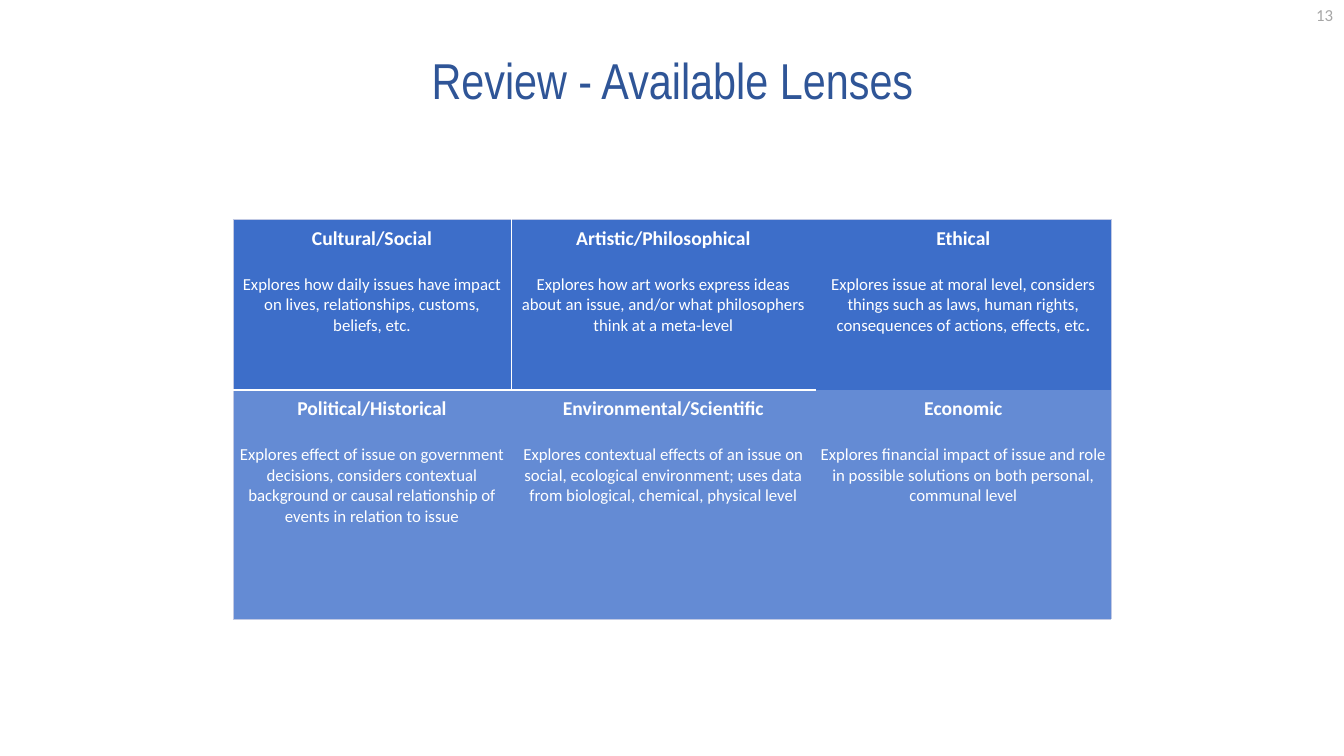
"""Builds the slide that reviews the available lenses."""
from lxml import etree
from pptx import Presentation
from pptx import util as u
from pptx.dml.color import RGBColor
from pptx.enum import text
from pptx.oxml.ns import qn

LENSES = [
    [
        ("Cultural/Social",
         "Explores how daily issues have impact on lives, relationships, customs, beliefs, etc.", ""),
        ("Artistic/Philosophical",
         "Explores how art works express ideas about an issue, and/or what philosophers think "
         "at a meta-level", ""),
        ("Ethical",
         "Explores issue at moral level, considers things such as laws, human rights, "
         "consequences of actions, effects, etc", "."),
    ],
    [
        ("Political/Historical",
         "Explores effect of issue on government decisions, considers contextual background or "
         "causal relationship of events in relation to issue", ""),
        ("Environmental/Scientific",
         "Explores contextual effects of an issue on social, ecological environment; uses data "
         "from biological, chemical, physical level", ""),
        ("Economic",
         "Explores financial impact of issue and role in possible solutions on both personal, "
         "communal level", ""),
    ],
]
COLUMN_WIDTHS = [2.76, 3.02, 2.93]
ROW_HEIGHTS = [1.69, 2.27]
ROW_FILLS = ["3D6EC9", "648BD4"]
OUTLINE = ("C1C9E4", 0.5)
COLUMN_RULE = ("FFFFFF", 1)
ROW_RULE = ("FFFFFF", 1.5)


def colour(code):
    return RGBColor.from_string(code)


class SlideBuilder:
    def __init__(self, deck):
        self.heading_font = "Arial Narrow"
        self.body_font = "Calibri"
        self.slide = deck.slides.add_slide(deck.slide_layouts[5])

    def style(self, para, size, code, align, font=None, bold=False):
        para.alignment = align
        para.font.name = font or self.body_font
        para.font.size = u.Pt(size)
        para.font.bold = bold
        para.font.color.rgb = colour(code)

    def title(self, words, left, top, width, height):
        box = self.slide.shapes.title
        box.left, box.top = u.Inches(left), u.Inches(top)
        box.width, box.height = u.Inches(width), u.Inches(height)
        frame = box.text_frame
        frame.text = words
        frame.auto_size = text.MSO_AUTO_SIZE.NONE
        frame.vertical_anchor = text.MSO_ANCHOR.MIDDLE
        para = frame.paragraphs[0]
        para.line_spacing = 0.9
        self.style(para, 36, "2F5597", text.PP_ALIGN.CENTER, self.heading_font)

    def page_number(self, number, left, top, width, height):
        box = self.slide.shapes.add_textbox(
            u.Inches(left), u.Inches(top), u.Inches(width), u.Inches(height))
        box.text_frame.word_wrap = True
        box.text_frame.text = number
        self.style(box.text_frame.paragraphs[0], 12, "A6A6A6", text.PP_ALIGN.RIGHT)

    def border(self, cell, side, line):
        properties = cell._tc.get_or_add_tcPr()
        edge = etree.SubElement(properties, qn(f"a:ln{side}"))
        if line is None:
            etree.SubElement(edge, qn("a:noFill"))
            return
        code, points = line
        edge.set("w", str(u.Pt(points)))
        fill = etree.SubElement(edge, qn("a:solidFill"))
        etree.SubElement(fill, qn("a:srgbClr"), val=code)

    def lens(self, cell, name, description, ending):
        cell.margin_left = cell.margin_right = u.Inches(0.05)
        cell.margin_top = cell.margin_bottom = u.Inches(0.07)
        cell.text = name
        heading = cell.text_frame.paragraphs[0]
        self.style(heading, 14, "FFFFFF", text.PP_ALIGN.CENTER, bold=True)
        para = cell.text_frame.add_paragraph()
        para.space_before = u.Pt(17)
        self.style(para, 12, "FFFFFF", text.PP_ALIGN.CENTER)
        para.add_run().text = description
        if ending:
            span = para.add_run()
            span.text = ending
            span.font.bold = True

    def lens_table(self, left, top):
        frame = self.slide.shapes.add_table(
            len(ROW_HEIGHTS), len(COLUMN_WIDTHS), u.Inches(left), u.Inches(top),
            u.Inches(sum(COLUMN_WIDTHS)), u.Inches(sum(ROW_HEIGHTS)))
        table = frame.table
        table.first_row = table.horz_banding = False
        for column, width in zip(table.columns, COLUMN_WIDTHS):
            column.width = u.Inches(width)
        for row, height in zip(table.rows, ROW_HEIGHTS):
            row.height = u.Inches(height)
        for r, lenses in enumerate(LENSES):
            for c, lens in enumerate(lenses):
                cell = table.cell(r, c)
                self.lens(cell, *lens)
                row_rule = ROW_RULE if c < 2 else None
                first_rule = COLUMN_RULE if r == 0 else None
                sides = {
                    "L": (OUTLINE, first_rule, None)[c],
                    "R": (first_rule, None, OUTLINE)[c],
                    "T": (OUTLINE, row_rule)[r],
                    "B": (row_rule, OUTLINE)[r],
                }
                for side, line in sides.items():
                    self.border(cell, side, line)
                cell.fill.solid()
                cell.fill.fore_color.rgb = colour(ROW_FILLS[r])


def main():
    deck = Presentation()
    deck.slide_width, deck.slide_height = u.Inches(13.33), u.Inches(7.5)
    page = SlideBuilder(deck)
    page.page_number("13", 12.88, 0, 0.44, 0.4)
    page.title("Review - Available Lenses", 0.92, 0.4, 11.5, 0.85)
    page.lens_table(2.31, 2.18)
    deck.save("out.pptx")


if __name__ == "__main__":
    main()
